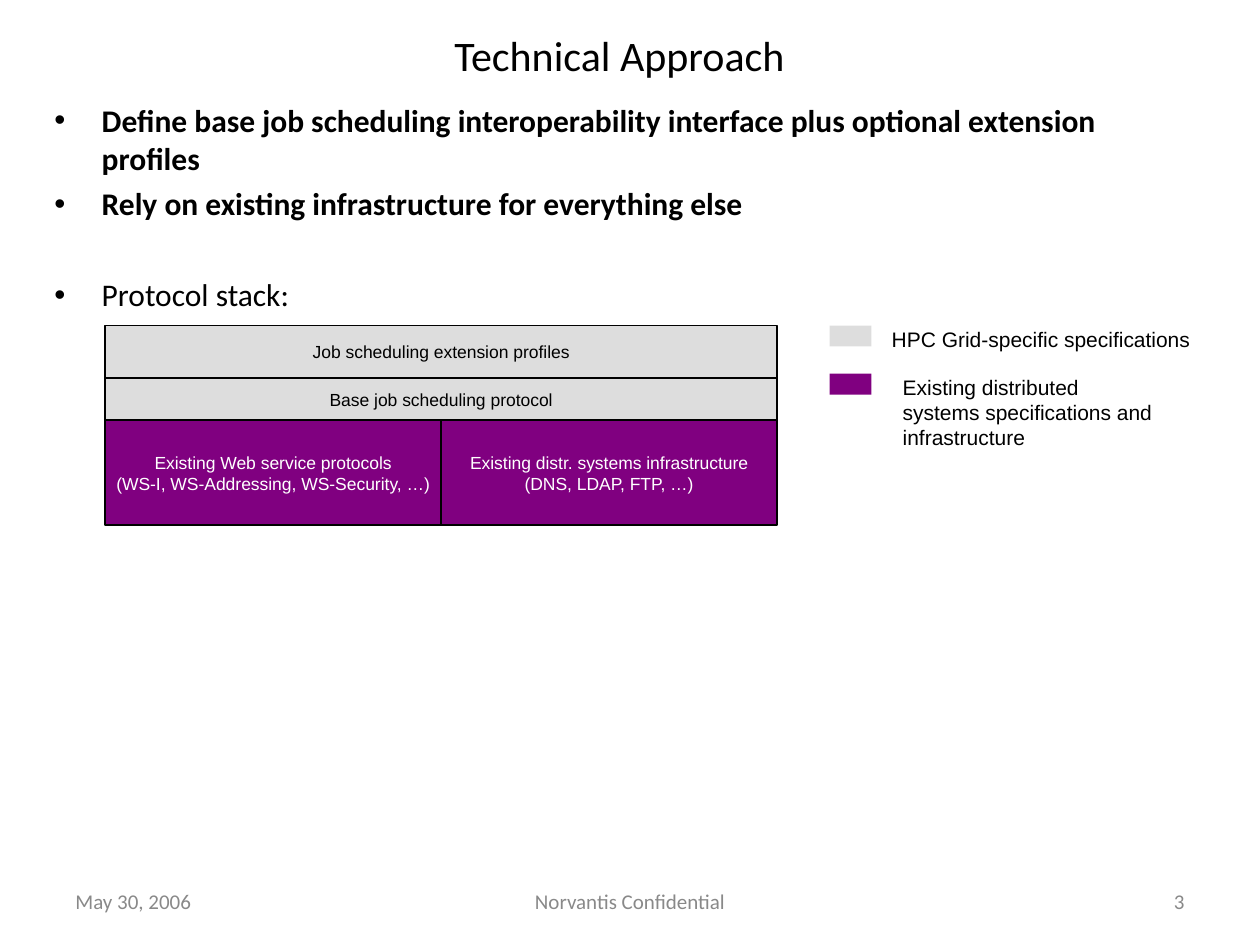
"""Build the Technical Approach slide with its protocol stack and legend."""
from lxml import etree
from pptx import Presentation
from pptx.dml.color import RGBColor
from pptx.enum import shapes, text
from pptx.oxml import ns
from pptx.util import Pt

BLACK = RGBColor(0x00, 0x00, 0x00)
WHITE = RGBColor(0xFF, 0xFF, 0xFF)
FOOTER = RGBColor(0x89, 0x89, 0x89)
GREY = RGBColor(0xDD, 0xDD, 0xDD)
PURPLE = RGBColor(0x80, 0x00, 0x80)
LEFT, CENTER, RIGHT = text.PP_ALIGN.LEFT, text.PP_ALIGN.CENTER, text.PP_ALIGN.RIGHT
TOP, MIDDLE = text.MSO_ANCHOR.TOP, text.MSO_ANCHOR.MIDDLE

prs = Presentation()
prs.slide_width, prs.slide_height = Pt(720), Pt(540)
s = prs.slides.add_slide(prs.slide_layouts[6])


def set_text(sp, lines, font, size, color, align=LEFT, anchor=MIDDLE, wrap=True):
    tf = sp.text_frame
    tf.text = lines
    tf.word_wrap = wrap
    tf.vertical_anchor = anchor
    for p in tf.paragraphs:
        p.alignment = align
        for r in p.runs:
            r.font.name = font
            r.font.size = Pt(size)
            r.font.color.rgb = color
    return tf


def add_rect(x, y, w, h, fill):
    sp = s.shapes.add_shape(shapes.MSO_SHAPE.RECTANGLE, Pt(x), Pt(y), Pt(w), Pt(h))
    sp.shadow.inherit = False
    sp.fill.solid()
    sp.fill.fore_color.rgb = fill
    sp.line.fill.background()
    return sp


footers = [
    (36, 168, "May 30, 2006", LEFT),
    (246, 228, "Norvantis Confidential", CENTER),
    (516, 168, "3", RIGHT),
]
for x, w, label, align in footers:
    sp = s.shapes.add_textbox(Pt(x), Pt(500.5), Pt(w), Pt(28.75))
    set_text(sp, label, "Calibri", 12, FOOTER, align)

title = s.shapes.add_textbox(Pt(24), Pt(12), Pt(660), Pt(38))
set_text(title, "Technical Approach", "Calibri", 24, BLACK, CENTER)

bullets = [
    ("Define base job scheduling interoperability interface plus optional extension profiles", True, 0),
    ("Rely on existing infrastructure for everything else", True, 4.5),
    ("Protocol stack:", False, 30.5),
]
body = s.shapes.add_textbox(Pt(24), Pt(54), Pt(660), Pt(450))
tf = set_text(body, "\n".join(b[0] for b in bullets), "Calibri", 18, BLACK, anchor=TOP)
for p, (_, bold, space) in zip(tf.paragraphs, bullets):
    pPr = p._p.get_or_add_pPr()
    pPr.set("marL", str(Pt(27)))
    pPr.set("indent", str(-Pt(27)))
    etree.SubElement(pPr, ns.qn("a:buFont")).set("typeface", "Arial")
    etree.SubElement(pPr, ns.qn("a:buChar")).set("char", "•")
    p.space_before = Pt(space)
    p.runs[0].font.bold = bold

stack = [
    (60, 240, 192, 60, PURPLE, WHITE,
     "Existing Web service protocols\n(WS-I, WS-Addressing, WS-Security, …)"),
    (60, 216, 384, 24, GREY, BLACK, "Base job scheduling protocol"),
    (60, 186, 384, 30, GREY, BLACK, "Job scheduling extension profiles"),
    (252, 240, 192, 60, PURPLE, WHITE,
     "Existing distr. systems infrastructure\n(DNS, LDAP, FTP, …)"),
]
for x, y, w, h, fill, color, label in stack:
    sp = add_rect(x, y, w, h, fill)
    sp.line.color.rgb = BLACK
    sp.line.width = Pt(0.75)
    tf = set_text(sp, label, "Arial", 10, color, CENTER, wrap=False)
    tf.margin_left = tf.margin_right = 0

legend = [
    (186, GREY, 502.5, 185, 21.75, "HPC Grid-specific specifications", False),
    (213.5, PURPLE, 508.75, 157.5, 50.5,
     "Existing distributed systems specifications and infrastructure", True),
]
for y, fill, x, w, h, label, wrap in legend:
    add_rect(474, y, 24, 12, fill)
    sp = s.shapes.add_textbox(Pt(x), Pt(y - 3), Pt(w), Pt(h))
    set_text(sp, label, "Arial", 12, BLACK, anchor=TOP, wrap=wrap)

prs.save("out.pptx")
